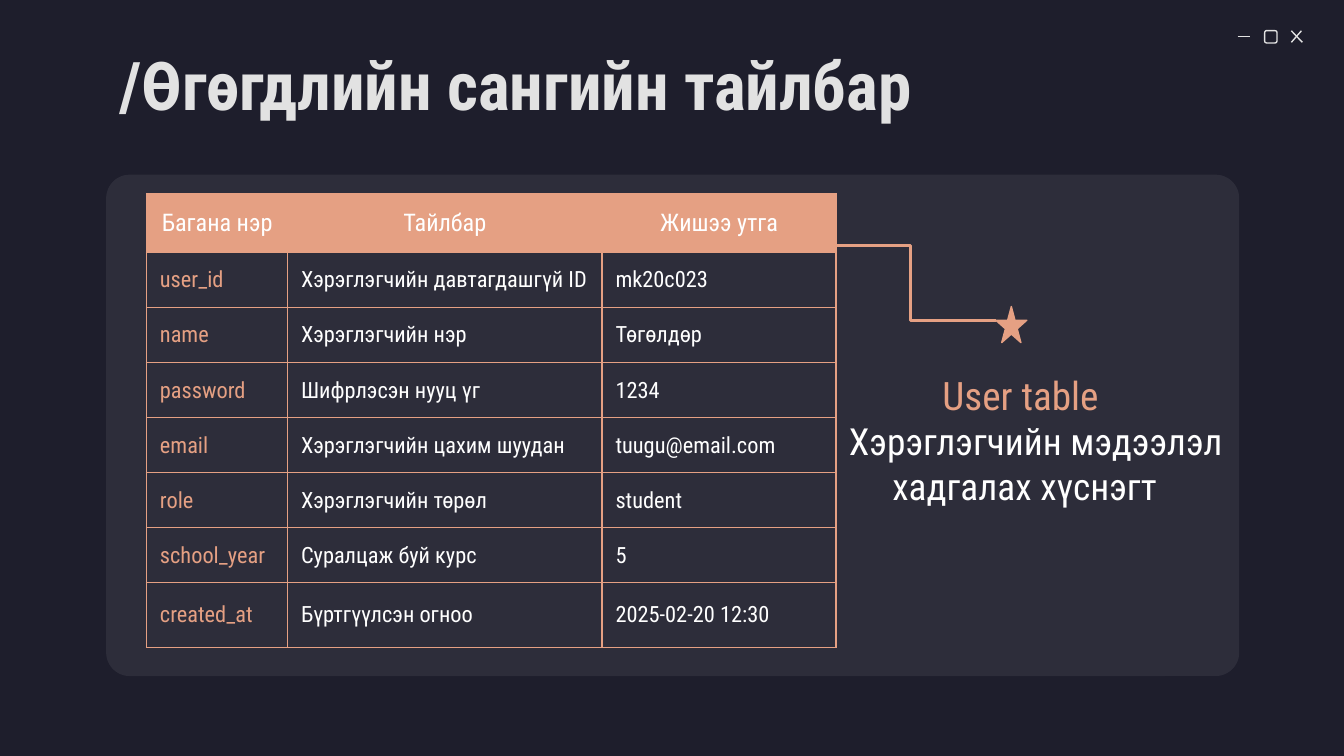
"""Build the slide that explains the user table of the database."""
import dataclasses
import typing

import lxml.etree
import pptx
import pptx.dml.color
import pptx.enum.shapes
import pptx.enum.text
import pptx.oxml.ns
import pptx.util

Pt = pptx.util.Pt
Kind = pptx.enum.shapes.MSO_SHAPE
Join = pptx.enum.shapes.MSO_CONNECTOR
Align = pptx.enum.text.PP_ALIGN
Anchor = pptx.enum.text.MSO_ANCHOR
qn = pptx.oxml.ns.qn

FONT = "Roboto Condensed"
PEACH, WHITE, PALE, NIGHT = "E5A083", "FFFFFF", "E2E2E2", "1E1E2C"


@dataclasses.dataclass
class Box:
    kind: typing.Any
    left: float
    top: float
    width: float
    height: float
    fill: str = ""
    line: str = ""
    adjust: tuple = ()


@dataclasses.dataclass
class Link:
    start: tuple
    end: tuple
    color: str = PALE
    weight: float = 0.75
    kind: typing.Any = Join.STRAIGHT


PANEL = Box(Kind.ROUNDED_RECTANGLE, 56.9, 93.6, 607, 268.6, WHITE, adjust=(0.047,))
FRAME = Box(Kind.ROUNDED_RECTANGLE, 677.5, 16.4, 6.6, 6.6, line=PALE)
STAR = Box(Kind.STAR_5_POINT, 533.5, 164.2, 16.6, 19.4, PEACH, PEACH)
LINKS = [
    Link((663.1, 19.5), (669.6, 19.5)),
    Link((691.8, 16.5), (697.7, 22.7)),
    Link((697.2, 16.5), (691.8, 22.7)),
]
ELBOW = Link((442, 131.6), (533.5, 171.6), PEACH, 1.5, Join.ELBOW)

COLS = [75.6, 168.5, 125.3]
TALL = [31.7] + [29.5] * 6 + [34.6]
ROWS = [
    ("Багана нэр", "Тайлбар", "Жишээ утга"),
    ("user_id", "Хэрэглэгчийн давтагдашгүй ID", "mk20c023"),
    ("name", "Хэрэглэгчийн нэр", "Төгөлдөр"),
    ("password", "Шифрлэсэн нууц үг", "1234"),
    ("email", "Хэрэглэгчийн цахим шуудан", "tuugu@email.com"),
    ("role", "Хэрэглэгчийн төрөл", "student"),
    ("school_year", "Суралцаж буй курс", "5"),
    ("created_at", "Бүртгүүлсэн огноо", "2025-02-20 12:30"),
]


def paint(form: typing.Any, color: str) -> None:
    form.rgb = pptx.dml.color.RGBColor.from_string(color)


def fill(item: typing.Any, color: str) -> None:
    if color:
        item.fill.solid()
        paint(item.fill.fore_color, color)
    else:
        item.fill.background()


def write(para: typing.Any, text: str, size: float, color: str, bold: bool = False) -> None:
    run = para.add_run()
    run.text = text
    run.font.name = FONT
    run.font.size = Pt(size)
    run.font.bold = bold
    paint(run.font.color, color)


def draw(shapes: typing.Any, box: Box) -> typing.Any:
    shape = shapes.add_shape(
        box.kind, Pt(box.left), Pt(box.top), Pt(box.width), Pt(box.height))
    shape.shadow.inherit = False
    for i, value in enumerate(box.adjust):
        shape.adjustments[i] = value
    fill(shape, box.fill)
    fill(shape.line, box.line)
    if box.line:
        shape.line.width = Pt(0.75)
    return shape


def connect(shapes: typing.Any, link: Link) -> None:
    line = shapes.add_connector(link.kind, *map(Pt, link.start + link.end))
    paint(line.line.color, link.color)
    line.line.width = Pt(link.weight)
    lxml.etree.SubElement(line._element.spPr, qn("a:effectLst"))


def edge(cell: typing.Any, color: str) -> None:
    props = cell._tc.get_or_add_tcPr()
    for side in "LRTB":
        line = lxml.etree.SubElement(props, qn(f"a:ln{side}"), w=str(Pt(0.75)))
        solid = lxml.etree.SubElement(line, qn("a:solidFill"))
        lxml.etree.SubElement(solid, qn("a:srgbClr"), val=color)


def tabulate(shapes: typing.Any) -> None:
    table = shapes.add_table(
        len(ROWS), len(COLS), Pt(78.5), Pt(103.7), Pt(sum(COLS)), Pt(sum(TALL))).table
    table.first_row = table.horz_banding = False
    for col, width in zip(table.columns, COLS):
        col.width = Pt(width)
    for r, (row, height) in enumerate(zip(ROWS, TALL)):
        table.rows[r].height = Pt(height)
        for c, text in enumerate(row):
            cell = table.cell(r, c)
            cell.vertical_anchor = Anchor.MIDDLE
            edge(cell, PEACH)
            fill(cell, "" if r else PEACH)
            para = cell.text_frame.paragraphs[0]
            para.alignment = Align.LEFT if r else Align.CENTER
            write(para, text, 12 if r else 13, PEACH if r and c == 0 else WHITE)


def pad(frame: typing.Any) -> None:
    frame.word_wrap = True
    frame.auto_size = pptx.enum.text.MSO_AUTO_SIZE.NONE
    frame.margin_left = frame.margin_right = Pt(7.2)
    frame.margin_top = frame.margin_bottom = Pt(7.2)


def indent(para: typing.Any, left: float, first: float) -> None:
    props = para._p.get_or_add_pPr()
    props.set("marL", str(Pt(left)))
    props.set("indent", str(Pt(first)))


def label(shapes: typing.Any) -> None:
    frame = shapes.add_textbox(Pt(429.8), Pt(179.3), Pt(238.3), Pt(101.5)).text_frame
    pad(frame)
    head = frame.paragraphs[0]
    indent(head, 68, 0)
    head.line_spacing = 1.5
    write(head, "User table", 21, PEACH)
    note = frame.add_paragraph()
    indent(note, 0, 12)
    note.alignment = Align.CENTER
    write(note, "Хэрэглэгчийн мэдээлэл хадгалах хүснэгт", 20, WHITE)


def entitle(title: typing.Any) -> None:
    title.left, title.top, title.width, title.height = map(Pt, (56.9, 18.7, 515.5, 52.6))
    frame = title.text_frame
    pad(frame)
    frame.vertical_anchor = Anchor.MIDDLE
    para = frame.paragraphs[0]
    para.alignment = Align.LEFT
    write(para, "/Өгөгдлийн сангийн тайлбар", 36, PALE, True)


def main() -> None:
    deck = pptx.Presentation()
    deck.slide_width, deck.slide_height = Pt(720), Pt(405)
    slide = deck.slides.add_slide(deck.slide_layouts[5])
    fill(slide.background, NIGHT)
    shapes = slide.shapes
    panel = draw(shapes, PANEL)
    tint = panel._element.spPr.find(qn("a:solidFill"))[0]
    lxml.etree.SubElement(tint, qn("a:alpha"), val="7000")
    draw(shapes, FRAME)
    for link in LINKS:
        connect(shapes, link)
    tabulate(shapes)
    connect(shapes, ELBOW)
    label(shapes)
    entitle(shapes.title)
    draw(shapes, STAR)
    deck.save("out.pptx")


if __name__ == "__main__":
    main()
